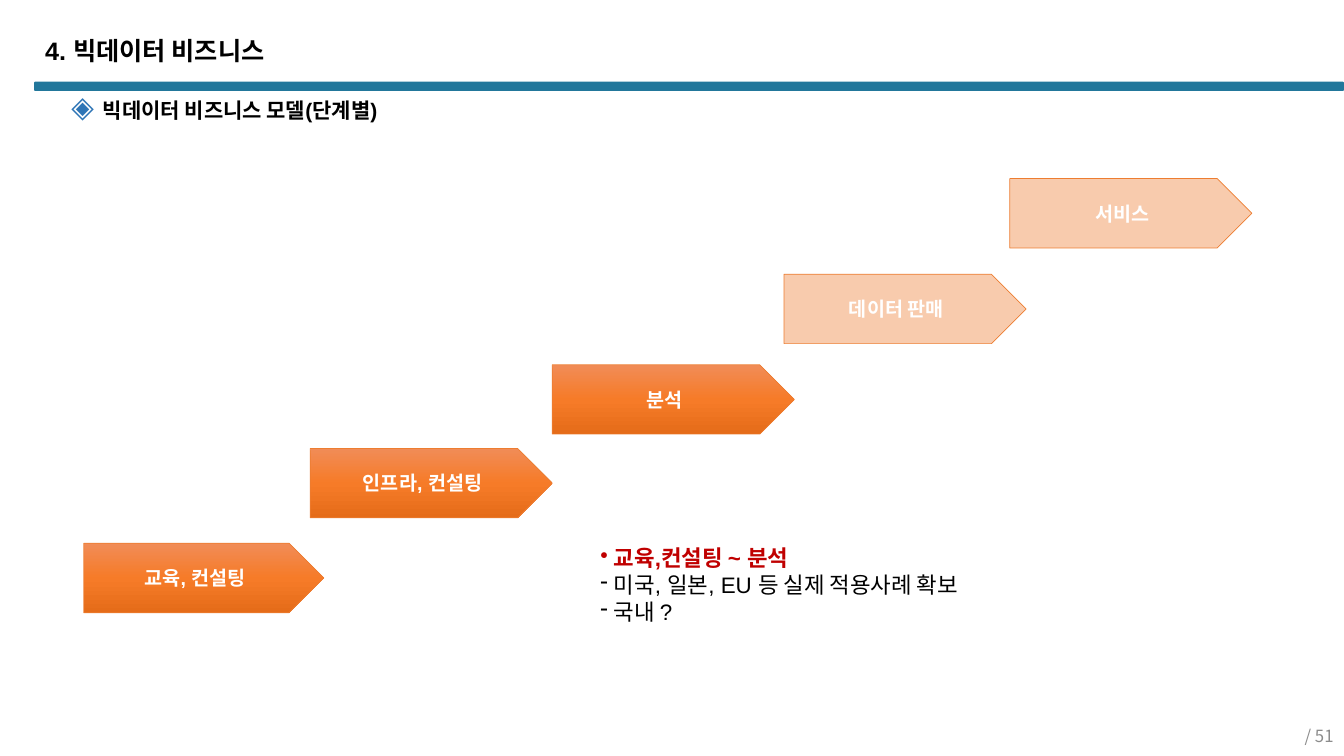
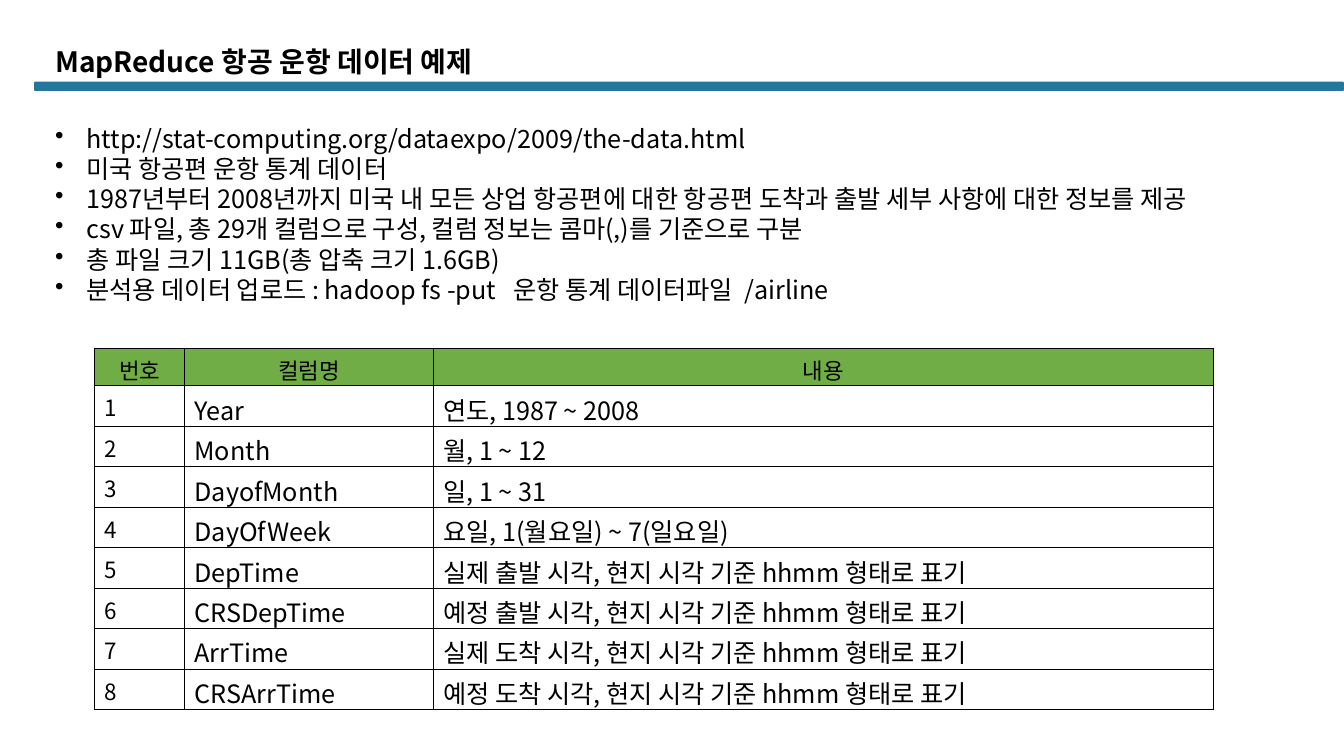
from lxml import etree
from pptx import Presentation
from pptx.dml.color import RGBColor
from pptx.enum.shapes import MSO_SHAPE
from pptx.enum.text import MSO_ANCHOR, PP_ALIGN
from pptx.oxml.ns import qn
from pptx.util import Cm, Pt

LEFT, CENTER, RIGHT = PP_ALIGN.LEFT, PP_ALIGN.CENTER, PP_ALIGN.RIGHT
TOP, MIDDLE = MSO_ANCHOR.TOP, MSO_ANCHOR.MIDDLE
ROUNDED, PENTAGON = MSO_SHAPE.ROUNDED_RECTANGLE, MSO_SHAPE.PENTAGON

ARIAL, NOTO = "Arial", "Noto Sans CJK KR"
BLACK, WHITE, GRAY = "000000", "FFFFFF", "8C8C8C"
TEAL, BLUE, RED, GREEN = "22779B", "2E75B6", "C00000", "70AD47"
ORANGE, PALE_ORANGE = "ED7D31", "F8CBAD"
ORANGE_STOPS = [(0, "F18C57"), (50, "F67B28"), (100, "E56C19")]
SLIDE_WIDTH, SLIDE_HEIGHT = 33.87, 19.05

BUSINESS_TITLE = "4. 빅데이터 비즈니스"
BUSINESS_SUBTITLE = "빅데이터 비즈니스 모델(단계별)"
PAGE_TOTAL = "/ 51"
STAGES = [
    ("교육, 컨설팅", 2.11, 13.69, 6.05, True),
    ("인프라, 컨설팅", 7.82, 11.3, 6.1, True),
    ("분석", 13.92, 9.19, 6.1, True),
    ("데이터 판매", 19.76, 6.91, 6.1, False),
    ("서비스", 25.45, 4.5, 6.1, False),
]
STAGE_NOTES = [
    ("교육,컨설팅 ~ 분석", {"bullet": "•", "color": RED, "bold": True}),
    ("미국, 일본, EU 등 실제 적용사례 확보", {"bullet": "-"}),
    ("국내 ?", {"bullet": "-"}),
]

FLIGHT_TITLE = "MapReduce 항공 운항 데이터 예제"
FLIGHT_FACTS = [
    "http://stat-computing.org/dataexpo/2009/the-data.html",
    "미국 항공편 운항 통계 데이터",
    "1987년부터 2008년까지 미국 내 모든 상업 항공편에 대한 항공편 도착과 출발 세부 사항에 대한 정보를 제공",
    "csv 파일, 총 29개 컬럼으로 구성, 컬럼 정보는 콤마(,)를 기준으로 구분",
    "총 파일 크기 11GB(총 압축 크기 1.6GB)",
    "분석용 데이터 업로드 : hadoop fs -put   운항 통계 데이터파일  /airline",
]
FLIGHT_HEADER = ("번호", "컬럼명", "내용")
FLIGHT_COLUMNS = [
    ("Year", "연도, 1987 ~ 2008"),
    ("Month", "월, 1 ~ 12"),
    ("DayofMonth", "일, 1 ~ 31"),
    ("DayOfWeek", "요일, 1(월요일) ~ 7(일요일)"),
    ("DepTime", "실제 출발 시각, 현지 시각 기준 hhmm 형태로 표기"),
    ("CRSDepTime", "예정 출발 시각, 현지 시각 기준 hhmm 형태로 표기"),
    ("ArrTime", "실제 도착 시각, 현지 시각 기준 hhmm 형태로 표기"),
    ("CRSArrTime", "예정 도착 시각, 현지 시각 기준 hhmm 형태로 표기"),
]
COLUMN_WIDTHS = (2.26, 6.27, 19.66)
HEADER_HEIGHT, ROW_HEIGHT = 0.93, 1.02


def rgb(color):
    return RGBColor.from_string(color)


def add_bullet(paragraph, character, indent, color, size):
    properties = paragraph._p.get_or_add_pPr()
    properties.set("marL", str(Cm(indent)))
    properties.set("indent", str(-Cm(indent)))
    if color:
        holder = etree.SubElement(properties, qn("a:buClr"))
        etree.SubElement(holder, qn("a:srgbClr"), val=color)
    if size:
        etree.SubElement(properties, qn("a:buSzPct"), val=str(size * 1000))
    etree.SubElement(properties, qn("a:buChar"), char=character)


def write(paragraph, text, size=18, font=NOTO, color=BLACK, bold=False, align=LEFT,
          line_spacing=None, bullet=None, indent=0.79, bullet_color=None, bullet_size=None):
    if bullet:
        add_bullet(paragraph, bullet, indent, bullet_color, bullet_size)
    paragraph.alignment = align
    if line_spacing:
        paragraph.line_spacing = line_spacing
    run = paragraph.add_run()
    run.text = text
    run.font.size = Pt(size)
    run.font.bold = bold
    run.font.color.rgb = rgb(color)
    run.font.name = font
    etree.SubElement(run._r.get_or_add_rPr(), qn("a:ea"), typeface=NOTO)


def set_margins(frame, horizontal, vertical):
    frame.margin_left = frame.margin_right = Cm(horizontal)
    frame.margin_top = frame.margin_bottom = Cm(vertical)


def add_text(slide, box, lines, anchor=TOP, margins=(0.25, 0.13), **common):
    frame = slide.shapes.add_textbox(*map(Cm, box)).text_frame
    frame.word_wrap = True
    frame.vertical_anchor = anchor
    set_margins(frame, *margins)
    for index, (text, options) in enumerate(lines):
        paragraph = frame.add_paragraph() if index else frame.paragraphs[0]
        write(paragraph, text, **{**common, **options})


def add_preset(slide, kind, box, color):
    shape = slide.shapes.add_shape(kind, *map(Cm, box))
    shape.shadow.inherit = False
    shape.fill.solid()
    shape.fill.fore_color.rgb = rgb(color)
    shape.line.fill.background()
    return shape


def fill_gradient(shape, stops):
    shape.fill.gradient()
    shape.fill.gradient_angle = 270
    stop_list = shape._element.spPr.find(qn("a:gradFill")).find(qn("a:gsLst"))
    stop_list.clear()
    for position, color in stops:
        stop = etree.SubElement(stop_list, qn("a:gs"), pos=str(position * 1000))
        etree.SubElement(stop, qn("a:srgbClr"), val=color)


def add_titled_slide(presentation, title, box, **title_format):
    slide = presentation.slides.add_slide(presentation.slide_layouts[6])
    left = 0.86
    band = add_preset(slide, ROUNDED, (left, 2.06, SLIDE_WIDTH - left, 0.23), TEAL)
    band.adjustments[0] = 0.13
    add_text(slide, box, [(title, {})], bold=True, line_spacing=0.9, **title_format)
    return slide


def add_stage(slide, text, left, top, width, active):
    shape = add_preset(slide, PENTAGON, (left, top, width, 1.75), PALE_ORANGE)
    if active:
        fill_gradient(shape, ORANGE_STOPS)
    shape.line.color.rgb = rgb(ORANGE)
    shape.line.width = Pt(0.5)
    frame = shape.text_frame
    frame.vertical_anchor = MIDDLE
    set_margins(frame, 0.25, 0)
    write(frame.paragraphs[0], text, size=14, font=ARIAL, color=WHITE, bold=True, align=CENTER)


def add_borders(cell):
    properties = cell._tc.get_or_add_tcPr()
    for index, side in enumerate(("lnL", "lnR", "lnT", "lnB")):
        line = etree.Element(qn("a:" + side), w=str(Pt(1)))
        fill = etree.SubElement(line, qn("a:solidFill"))
        etree.SubElement(fill, qn("a:srgbClr"), val=BLACK)
        properties.insert(index, line)


def add_flight_table(slide):
    rows = [FLIGHT_HEADER]
    rows += [(str(number), *row) for number, row in enumerate(FLIGHT_COLUMNS, 1)]
    heights = [HEADER_HEIGHT] + [ROW_HEIGHT] * len(FLIGHT_COLUMNS)
    box = (2.39, 8.79, sum(COLUMN_WIDTHS), sum(heights))
    table = slide.shapes.add_table(len(rows), len(COLUMN_WIDTHS), *map(Cm, box)).table
    table.first_row = table.horz_banding = False
    for column, width in zip(table.columns, COLUMN_WIDTHS):
        column.width = Cm(width)
    for row_index, (values, height) in enumerate(zip(rows, heights)):
        table.rows[row_index].height = Cm(height)
        header = row_index == 0
        for column_index, text in enumerate(values):
            cell = table.cell(row_index, column_index)
            if header:
                cell.fill.solid()
                cell.fill.fore_color.rgb = rgb(GREEN)
            else:
                cell.fill.background()
            add_borders(cell)
            write(cell.text_frame.paragraphs[0], text,
                  size=16 if header or column_index == 0 else 18,
                  align=CENTER if header else LEFT)


def build_business_slide(presentation):
    slide = add_titled_slide(presentation, BUSINESS_TITLE, (0.89, 0.84, 20.07, 1.19), font=ARIAL)
    add_text(slide, (25.96, 18.26, 7.9, 0.58), [(PAGE_TOTAL, {})],
             anchor=MIDDLE, size=12, color=GRAY, align=RIGHT)
    add_text(slide, (1.8, 2.46, 22.3, 0.64), [(BUSINESS_SUBTITLE, {})], margins=(0, 0),
             size=15, font=ARIAL, bold=True, bullet="◈", bullet_color=BLUE, bullet_size=140)
    for stage in STAGES:
        add_stage(slide, *stage)
    add_text(slide, (14.88, 13.59, 17.32, 2.31), STAGE_NOTES, size=16, font=ARIAL, indent=0.34)


def build_flight_slide(presentation):
    slide = add_titled_slide(presentation, FLIGHT_TITLE, (1.14, 1.09, 30.48, 1.19), size=20)
    add_text(slide, (1.14, 2.97, 30.89, 5.64), [(fact, {}) for fact in FLIGHT_FACTS], bullet="•")
    add_flight_table(slide)


def main():
    presentation = Presentation()
    presentation.slide_width = Cm(SLIDE_WIDTH)
    presentation.slide_height = Cm(SLIDE_HEIGHT)
    build_business_slide(presentation)
    build_flight_slide(presentation)
    presentation.save("out.pptx")


if __name__ == "__main__":
    main()
